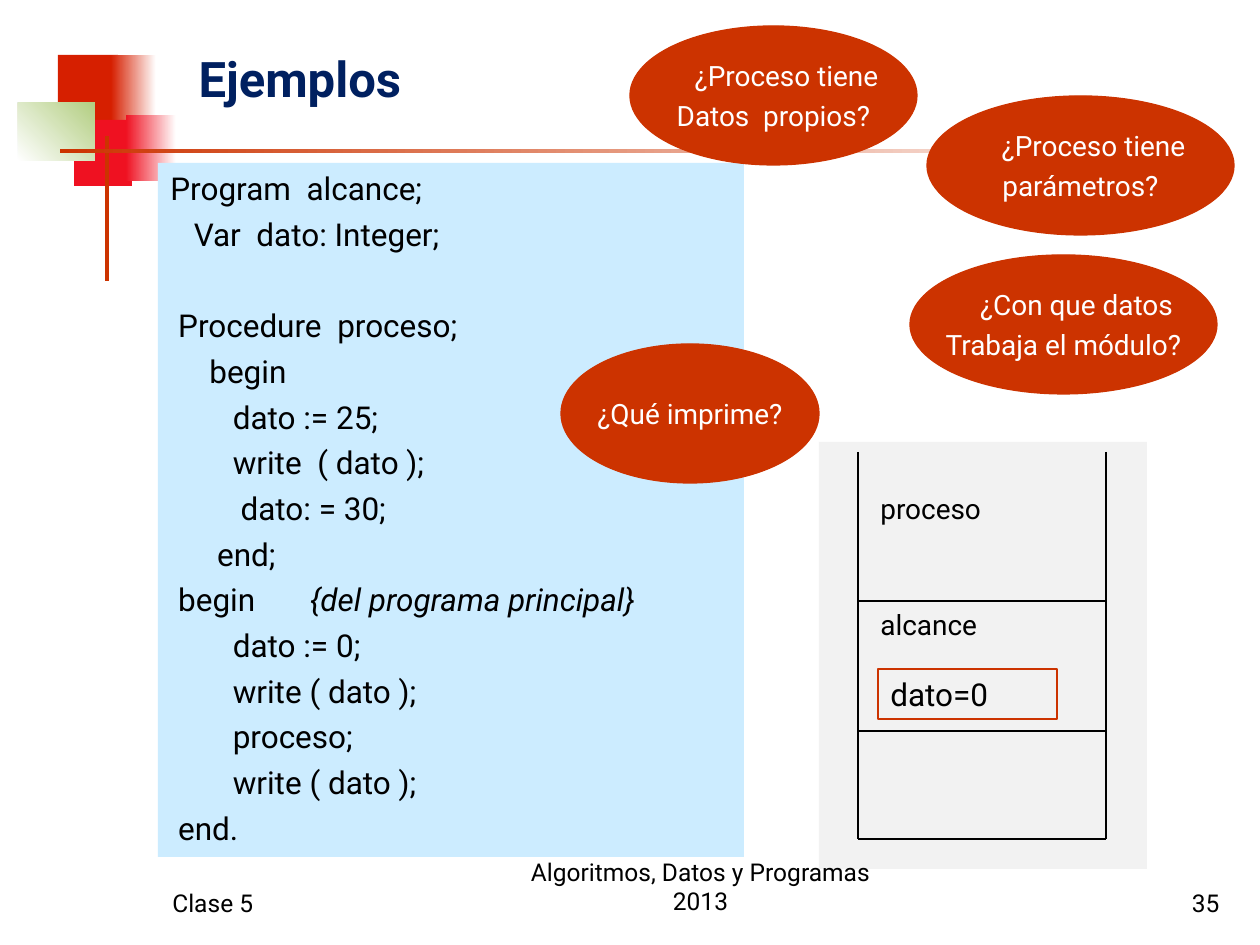
from pptx import Presentation, util as u
from pptx.dml.color import RGBColor
from pptx.enum import shapes, text
from pptx.oxml import xmlchemy, ns

SCALE = 914400 / 126  # EMU in one px
FONT = "Roboto"
LINE_HEIGHT = 1.2

BLACK = RGBColor(0, 0, 0)
WHITE = RGBColor(0xFF, 0xFF, 0xFF)
NAVY = RGBColor(0x00, 0x20, 0x60)
RUST = RGBColor(0xCC, 0x33, 0x00)
RED = RGBColor(0xD6, 0x1F, 0x00)
CRIMSON = RGBColor(0xEF, 0x11, 0x21)
GREEN = RGBColor(0xB3, 0xCE, 0x82)
SKY = RGBColor(0xCC, 0xEC, 0xFF)
GREY = RGBColor(0xF2, 0xF2, 0xF2)

RECTANGLE = shapes.MSO_SHAPE.RECTANGLE
OVAL = shapes.MSO_SHAPE.OVAL
LEFT, CENTER = text.PP_ALIGN.LEFT, text.PP_ALIGN.CENTER
RIGHT, JUSTIFY = text.PP_ALIGN.RIGHT, text.PP_ALIGN.JUSTIFY
TOP, MIDDLE, BOTTOM = (text.MSO_ANCHOR.TOP, text.MSO_ANCHOR.MIDDLE,
                       text.MSO_ANCHOR.BOTTOM)

CODE = """Program  alcance;
   Var  dato: Integer;

 Procedure  proceso;
     begin
        dato := 25;
        write  ( dato );
         dato: = 30;
      end;
 begin       {del programa principal}
        dato := 0;
        write ( dato );
        proceso;
        write ( dato );
 end."""


def px(*lengths):
    return [u.Emu(round(length * SCALE)) for length in lengths]


def write(shape, content, size=16, color=BLACK, bold=False, align=LEFT,
          anchor=TOP, wrap=True, space=0, first_indent=0):
    """Write one paragraph per line; {comments} become italic."""
    frame = shape.text_frame
    frame.word_wrap = wrap
    frame.auto_size = text.MSO_AUTO_SIZE.NONE
    frame.vertical_anchor = anchor
    paragraph, gap = None, 0
    for line in content.split("\n"):
        if not line:  # an empty line widens the space before the next one
            gap += size * LINE_HEIGHT + space
            continue
        if paragraph is None:
            paragraph = frame.paragraphs[0]
            if first_indent:
                paragraph._p.get_or_add_pPr().set("marL", str(px(first_indent)[0]))
        else:
            paragraph = frame.add_paragraph()
            paragraph.space_before = u.Pt(space + gap)
        gap = 0
        paragraph.alignment = align
        code, brace, comment = line.partition("{")
        for words, italic in ((code, False), (brace + comment, True)):
            if words:
                run = paragraph.add_run()
                run.text = words
                font = run.font
                font.name, font.size = FONT, u.Pt(size)
                font.bold, font.italic = bold, italic
                font.color.rgb = color


def add_box(slide, box, fill=None, kind=RECTANGLE, line=None, fade=None, angle=0):
    """Add a preset shape, plain or fading from fill to fade."""
    shape = slide.shapes.add_shape(kind, *px(*box))
    shape.shadow.inherit = False
    if fade is not None:
        shape.fill.gradient()
        shape.fill.gradient_angle = angle
        for stop, color in zip(shape.fill.gradient_stops, (fill, fade)):
            stop.color.rgb = color
    elif fill is not None:
        shape.fill.solid()
        shape.fill.fore_color.rgb = fill
    else:
        shape.fill.background()
    if line is None:
        shape.line.fill.background()
    else:
        shape.line.color.rgb = line
        shape.line.width = u.Pt(0.75)
    return shape


def add_label(slide, box, content, **style):
    write(slide.shapes.add_textbox(*px(*box)), content, **style)


def add_line(slide, *ends):
    line = slide.shapes.add_connector(shapes.MSO_CONNECTOR.STRAIGHT, *px(*ends))
    line.line.color.rgb = BLACK
    line.line.width = u.Pt(0.75)
    properties = line._element.spPr
    properties.append(properties.makeelement(ns.qn("a:effectLst"), {}))


def add_bubble(slide, box, question, first_indent=0):
    bubble = add_box(slide, box, RUST, kind=OVAL, line=RUST)
    write(bubble, question, color=WHITE, align=CENTER, anchor=MIDDLE,
          wrap=False, space=4, first_indent=first_indent)


def add_decoration(slide):
    add_box(slide, (58, 55, 60, 66), RED)
    add_box(slide, (111, 55, 45, 66), RED, fade=WHITE)
    add_box(slide, (74, 120, 58, 66), CRIMSON)
    add_box(slide, (126, 115, 50, 66), CRIMSON, fade=WHITE)
    add_box(slide, (18, 103, 77, 58), WHITE, fade=GREEN, angle=45)
    add_box(slide, (105, 136, 4, 145), RUST)
    add_box(slide, (60, 149, 1134, 4), RUST, fade=WHITE)


def add_memory_stack(slide):
    left, right, top, bottom = 858, 1106, 452, 839
    add_box(slide, (819, 442, 328, 427), GREY)
    add_label(slide, (868, 485, 189, 47), "proceso")
    add_label(slide, (868, 601, 199, 47), "alcance")
    write(add_box(slide, (878, 669, 179, 50), line=RUST), "dato=0", size=18)
    for y in (601, 731, bottom):
        add_line(slide, left, y, right, y)
    for x in (left, right):
        add_line(slide, x, top, x, bottom)


def main():
    presentation = Presentation()
    presentation.slide_width, presentation.slide_height = px(1260, 945)
    slide = presentation.slides.add_slide(presentation.slide_layouts[5])
    add_decoration(slide)

    # Title
    title = slide.shapes.title
    title.left, title.top, title.width, title.height = px(186, 10, 872, 136)
    write(title, "Ejemplos", size=28, color=NAVY, bold=True, anchor=MIDDLE)

    # Program listing
    listing = add_box(slide, (158, 163, 586, 694), SKY)
    write(listing, CODE, size=18, align=JUSTIFY, space=4.5)

    add_memory_stack(slide)

    # Questions
    add_bubble(slide, (561, 344, 258, 139), "¿Qué imprime?")
    for box, question in (
            ((630, 26, 287, 139), "¿Proceso tiene\nDatos  propios?"),
            ((927, 96, 307, 139), "¿Proceso tiene\nparámetros?"),
            ((910, 255, 307, 139), "¿Con que datos\nTrabaja el módulo?")):
        add_bubble(slide, box, question, first_indent=26)

    # Footer
    for box, content, align in (
            ((160, 861, 262, 63), "Clase 5", LEFT),
            ((501, 859, 399, 63), "Algoritmos, Datos y Programas 2013", CENTER),
            ((970, 861, 262, 63), "35", RIGHT)):
        add_label(slide, box, content, size=14, align=align, anchor=BOTTOM)

    presentation.save("out.pptx")


if __name__ == "__main__":
    main()
